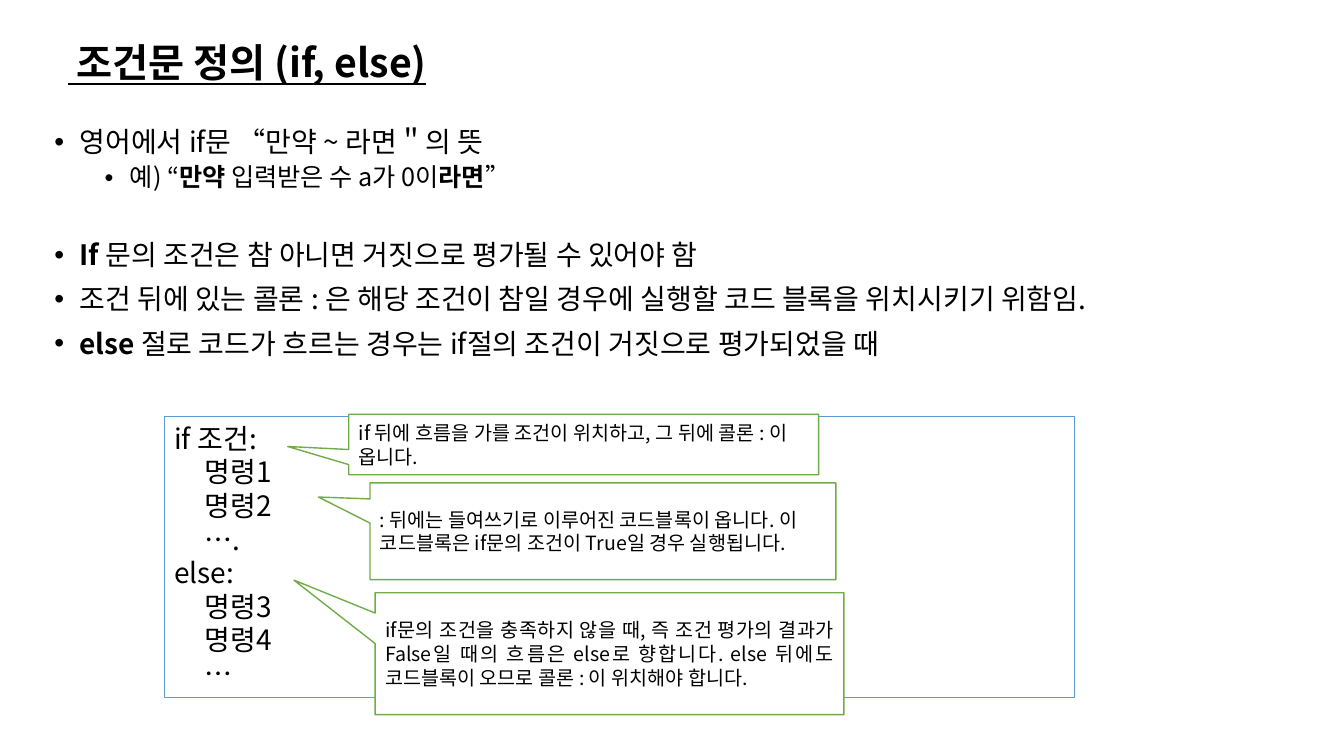
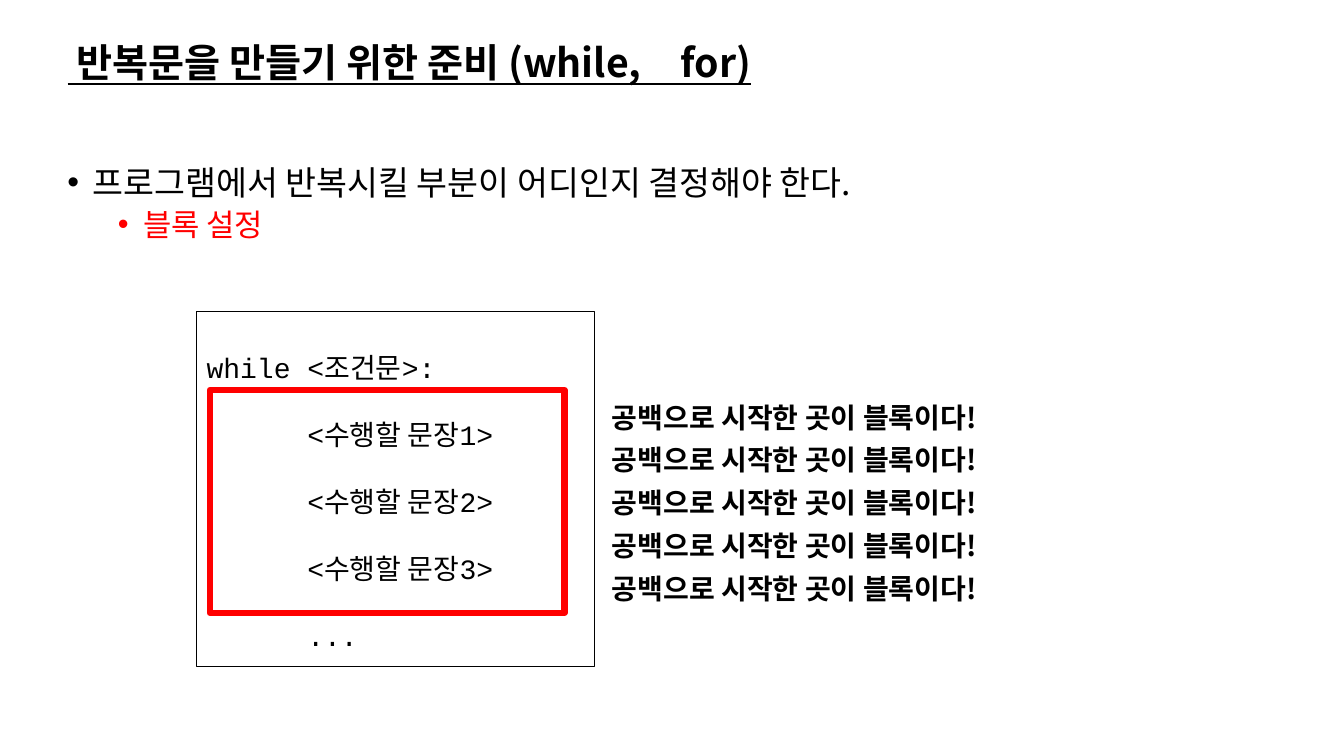
from lxml import etree
from pptx import Presentation
from pptx import util as u
from pptx.dml.color import RGBColor
from pptx.enum import shapes, text
from pptx.oxml.ns import qn

COLORS = {"ink": "000000", "paper": "FFFFFF", "code": "5B9BD5",
          "callout": "70AD47", "accent": "FF0000"}
KOREAN, MONO = "Noto Sans CJK KR", "Courier New"
LEFT, JUSTIFY = text.PP_ALIGN.LEFT, text.PP_ALIGN.JUSTIFY

TITLE_BOX = (0.57, 0.24, 11.5, 0.81)
IF_TITLE = " 조건문 정의 (if, else)"
LOOP_TITLE = " 반복문을 만들기 위한 준비 (while,\u3000for)"

IF_BULLETS = [
    dict(runs=[("영어에서 if문 “만약 ~ 라면＂의 뜻", False)]),
    dict(runs=[("예) “", False), ("만약 ", True), ("입력받은 수 a가 0이", False),
               ("라면", True), ("”", False)], level=1, size=18),
    dict(runs=[("If ", True), ("문의 조건은 참 아니면 거짓으로 평가될 수 있어야 함", False)],
         before=35),
    dict(runs=[("조건 뒤에 있는 콜론 : 은 해당 조건이 참일 경우에 실행할 코드 블록을 위치시키기 위함임.", False)]),
    dict(runs=[("else", True), (" 절로 코드가 흐르는 경우는 if절의 조건이 거짓으로 평가되었을 때", False)]),
]
LOOP_BULLETS = [
    dict(runs=[("프로그램에서 반복시킬 부분이 어디인지 결정해야 한다.", False)], size=24),
    dict(runs=[("블록 설정", False)], level=1, size=22, color="accent"),
]
IF_CODE = [("if 조건:", 0), ("명령1", 1), ("명령2", 1), ("….", 1),
           ("else:", 0), ("명령3", 1), ("명령4", 1), ("…", 1)]
LOOP_CODE = [("while <조건문>:", 0), ("<수행할 문장1>", 1), ("<수행할 문장2>", 1),
             ("<수행할 문장3>", 1), ("...", 1)]
CALLOUTS = [
    ("if 뒤에 흐름을 가를 조건이 위치하고, 그 뒤에 콜론 : 이 옵니다.",
     (3.46, 4.11, 4.66, 0.6), (-0.63, 0.034), LEFT),
    (": 뒤에는 들여쓰기로 이루어진 코드블록이 옵니다. 이 코드블록은 if문의 조건이 True일 경우 실행됩니다.",
     (3.67, 4.79, 4.62, 0.96), (-0.611, -0.353), LEFT),
    ("if문의 조건을 충족하지 않을 때, 즉 조건 평가의 결과가 False일 때의 흐름은 else로 향합니다. "
     "else 뒤에도 코드블록이 오므로 콜론 : 이 위치해야 합니다.",
     (3.72, 5.88, 4.65, 1.21), (-0.673, -0.603), JUSTIFY),
]
BLOCK_NOTE = "공백으로 시작한 곳이 블록이다!"
NOTE_COUNT, NOTE_TOP, NOTE_STEP = 5, 3.92, 0.425


def rgb(name):
    return RGBColor.from_string(COLORS[name])


def inches(box):
    return [u.Inches(v) for v in box]


def style(r, size, bold=False, color="ink", font=KOREAN):
    r.font.size, r.font.bold, r.font.name = u.Pt(size), bold, font
    r.font.color.rgb = rgb(color)
    ea = etree.SubElement(r.font._element, qn("a:ea"))
    ea.set("typeface", KOREAN)


def next_paragraph(tf, i):
    return tf.paragraphs[0] if i == 0 else tf.add_paragraph()


def indent(p, left, first=0):
    pPr = p._p.get_or_add_pPr()
    pPr.set("marL", str(u.Inches(left)))
    pPr.set("indent", str(u.Inches(first)))
    return pPr


def add_slide(prs, title):
    s = prs.slides.add_slide(prs.slide_layouts[5])
    sp = s.shapes.title
    sp.left, sp.top, sp.width, sp.height = inches(TITLE_BOX)
    tf = sp.text_frame
    tf.text = title
    tf.vertical_anchor = text.MSO_ANCHOR.MIDDLE
    p = tf.paragraphs[0]
    p.alignment, p.line_spacing = LEFT, 0.9
    style(p.runs[0], 28, bold=True)
    p.runs[0].font.underline = True
    return s


def add_text(s, box):
    tf = s.shapes.add_textbox(*inches(box)).text_frame
    tf.word_wrap = True
    return tf


def add_bullets(s, box, items):
    tf = add_text(s, box)
    for i, item in enumerate(items):
        p = next_paragraph(tf, i)
        level = item.get("level", 0)
        p.level, p.line_spacing = level, 0.9
        p.space_before = u.Pt(item.get("before", 5 if level else 10))
        pPr = indent(p, 0.25 + 0.5 * level, -0.25)
        etree.SubElement(pPr, qn("a:buFont")).set("typeface", "Arial")
        etree.SubElement(pPr, qn("a:buChar")).set("char", "•")
        for words, bold in item["runs"]:
            r = p.add_run()
            r.text = words
            style(r, item.get("size", 20), bold, item.get("color", "ink"))


def add_box(s, box, line, width, kind=shapes.MSO_SHAPE.RECTANGLE, fill=None):
    sp = s.shapes.add_shape(kind, *inches(box))
    sp.shadow.inherit = False
    if fill:
        sp.fill.solid()
        sp.fill.fore_color.rgb = rgb(fill)
    else:
        sp.fill.background()
    sp.line.color.rgb, sp.line.width = rgb(line), u.Pt(width)
    return sp


def add_code(sp, lines, step, align, spacing, font):
    tf = sp.text_frame
    tf.word_wrap, tf.vertical_anchor = True, text.MSO_ANCHOR.TOP
    for i, (words, depth) in enumerate(lines):
        p = next_paragraph(tf, i)
        p.text = words
        p.alignment, p.line_spacing = align, spacing
        indent(p, step * depth)
        style(p.runs[0], 20, font=font)


def add_callout(s, words, box, tip, align):
    sp = add_box(s, box, "callout", 1,
                 shapes.MSO_SHAPE.RECTANGULAR_CALLOUT, "paper")
    sp.adjustments[0], sp.adjustments[1] = tip
    tf = sp.text_frame
    tf.text = words
    tf.word_wrap, tf.vertical_anchor = True, text.MSO_ANCHOR.MIDDLE
    tf.paragraphs[0].alignment = align
    style(tf.paragraphs[0].runs[0], 14)


prs = Presentation()
prs.slide_width, prs.slide_height = u.Inches(13.33), u.Inches(7.5)

s = add_slide(prs, IF_TITLE)
add_bullets(s, (0.44, 1.22, 12.63, 6.15), IF_BULLETS)
code_box = add_box(s, (1.63, 4.13, 9.03, 2.79), "code", 1)
add_code(code_box, IF_CODE, 0.3, JUSTIFY, 1.0, KOREAN)
for callout in CALLOUTS:
    add_callout(s, *callout)

s = add_slide(prs, LOOP_TITLE)
add_bullets(s, (0.57, 1.6, 12.38, 5.28), LOOP_BULLETS)
code_box = add_box(s, (1.95, 3.09, 3.95, 3.52), "ink", 0.5)
add_code(code_box, LOOP_CODE, 1, LEFT, 2.0, MONO)
add_box(s, (2.08, 3.87, 3.52, 2.21), "accent", 4.5)
for i in range(NOTE_COUNT):
    tf = add_text(s, (5.97, NOTE_TOP + i * NOTE_STEP, 4.23, 0.44))
    tf.text = BLOCK_NOTE
    style(tf.paragraphs[0].runs[0], 20, bold=True)

prs.save("out.pptx")
